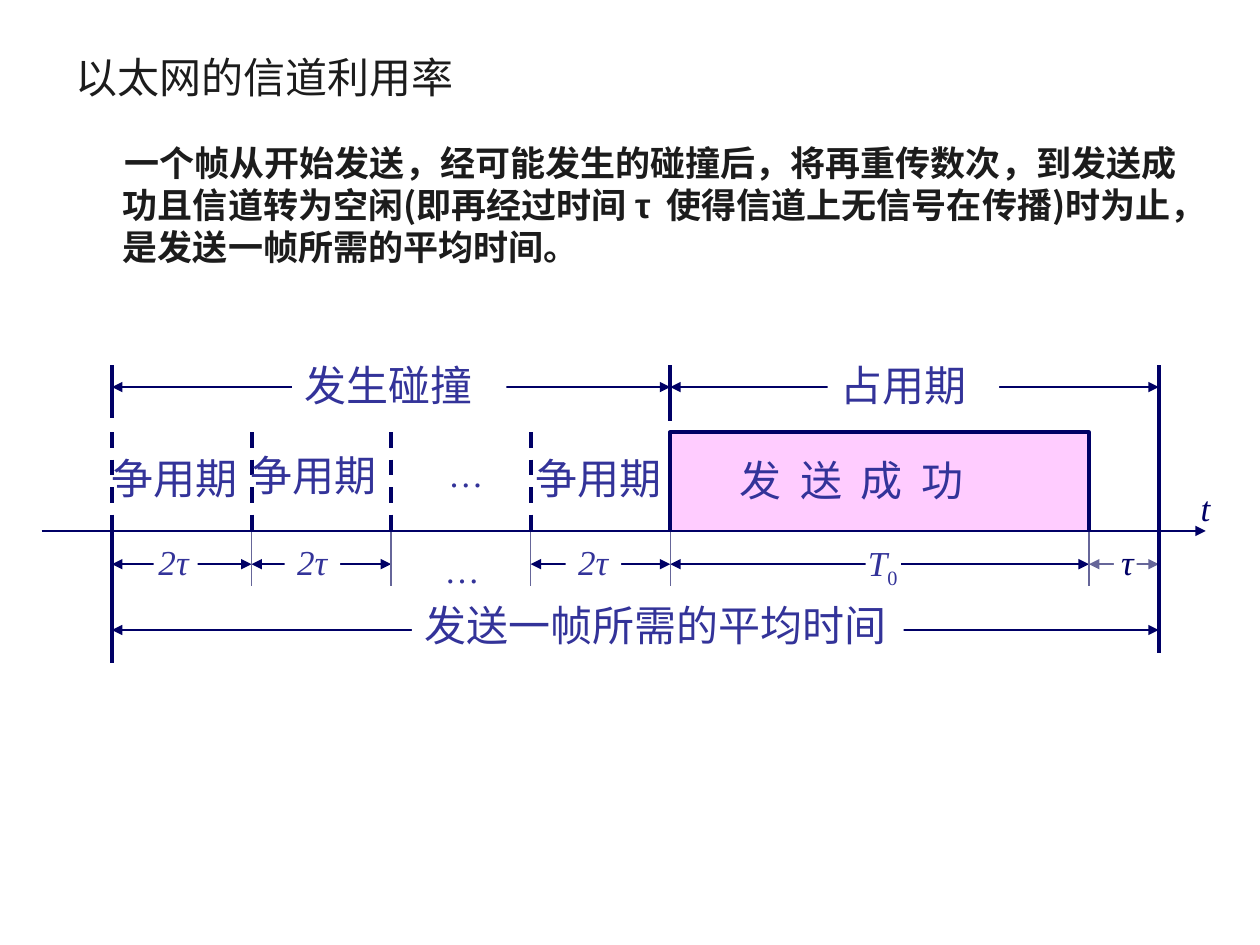
from typing import NamedTuple

from lxml import etree
from pptx import Presentation
from pptx.dml.color import RGBColor
from pptx.enum import dml, shapes, text
from pptx.oxml import ns
from pptx.util import Pt

NAVY, INDIGO, SLATE = "000066", "333399", "666699"
INK, PINK, WHITE = "1C1C1C", "FFCCFF", "FFFFFF"
SERIF, SANS = "Times New Roman", "Noto Sans CJK SC"

# Time scale: one contention slot (2τ) is SLOT points wide
START, SLOT = 64, 79.75
BUSY, SENT, END = 4, 7, 7.5
# Heights of the rows
TOP, UPPER, FRAME_TOP, AXIS, LOWER, TOTAL = 208.8, 221.2, 247, 303.4, 322.4, 360


class Span(NamedTuple):
    """A double-headed arrow between two moments."""
    first: float
    last: float
    y: float
    color: str = NAVY


class Tick(NamedTuple):
    """An upright line at one moment."""
    moment: float
    top: float
    bottom: float
    color: str = NAVY
    width: float = 2.25
    dashed: bool = False


class Label(NamedTuple):
    words: str
    x: float
    y: float
    width: float
    size: float = 24
    color: str = INDIGO
    italic: bool = False
    masked: bool = False
    spacing: int = 0
    subscript: str = ""


def rgb(color: str) -> RGBColor:
    return RGBColor.from_string(color)


def at(moment: float) -> float:
    return START + SLOT * moment


def sub(parent, tag: str, **attributes: str):
    return etree.SubElement(parent, ns.qn(tag), attributes)


def draw_line(x1: float, y1: float, x2: float, y2: float, color: str,
              width: float, head: bool = False, tail: bool = False,
              dashed: bool = False) -> None:
    line = slide.shapes.add_connector(
        shapes.MSO_CONNECTOR.STRAIGHT, Pt(x1), Pt(y1), Pt(x2), Pt(y2))
    line.line.color.rgb = rgb(color)
    line.line.width = Pt(width)
    if dashed:
        line.line.dash_style = dml.MSO_LINE.DASH
    outline = line.line._get_or_add_ln()
    for tag, shown in (("a:headEnd", head), ("a:tailEnd", tail)):
        if shown:
            sub(outline, tag, type="triangle")
    sub(line._element.spPr, "a:effectLst")


def draw_mask(x: float, y: float, width: float, height: float) -> None:
    mask = slide.shapes.add_shape(
        shapes.MSO_SHAPE.RECTANGLE, Pt(x), Pt(y), Pt(width), Pt(height))
    mask.shadow.inherit = False
    mask.fill.solid()
    mask.fill.fore_color.rgb = rgb(WHITE)
    mask.line.fill.background()


def draw_label(label: Label) -> None:
    height = 36 if label.size == 24 else 31.6
    box = slide.shapes.add_textbox(
        Pt(label.x), Pt(label.y), Pt(label.width), Pt(height))
    if label.masked:
        box.fill.solid()
        box.fill.fore_color.rgb = rgb(WHITE)
    frame = box.text_frame
    frame.word_wrap = False
    frame.auto_size = text.MSO_AUTO_SIZE.SHAPE_TO_FIT_TEXT
    line = frame.paragraphs[0]
    words = line.add_run()
    words.text = label.words
    font = line.font
    font.name, font.size = SERIF, Pt(label.size)
    font.color.rgb = rgb(label.color)
    words.font.italic = label.italic
    if label.spacing:
        words.font._element.set("spc", str(label.spacing))
    if label.subscript:
        index = line.add_run()
        index.text = label.subscript
        index.font._element.set("baseline", "-25000")


def set_heading_font(font, size: float, bold: bool) -> None:
    font.name, font.size, font.bold = SANS, Pt(size), bold
    font.color.rgb = rgb(INK)
    sub(font._element, "a:ea", typeface=SANS)


def place(holder, x: float, y: float, width: float, height: float) -> None:
    holder.left, holder.top = Pt(x), Pt(y)
    holder.width, holder.height = Pt(width), Pt(height)
    holder.text_frame.auto_size = text.MSO_AUTO_SIZE.NONE


deck = Presentation()
deck.slide_width, deck.slide_height = Pt(720), Pt(540)
slide = deck.slides.add_slide(deck.slide_layouts[1])

# Title
title = slide.shapes.title
place(title, 36, 21.6, 648, 44)
title.text_frame.vertical_anchor = text.MSO_ANCHOR.MIDDLE
heading = title.text_frame.paragraphs[0]
heading.text = "以太网的信道利用率"
heading.alignment = text.PP_ALIGN.LEFT
set_heading_font(heading.font, 24, False)

# Explanation
body = slide.placeholders[1]
place(body, 36, 77, 648, 376.6)
explanation = body.text_frame.paragraphs[0]
indents = explanation._p.get_or_add_pPr()
indents.set("marL", str(Pt(27)))
indents.set("indent", str(Pt(1)))
sub(indents, "a:buNone")
explanation.space_before = Pt(0)
set_heading_font(explanation.font, 20, True)
for words in ("一个帧从开始发送，经可能发生的碰撞后，将再重传数次，到发送成功且信道转为空闲(即再经过时间 ",
              "τ", " 使得信道上无信号在传播)时为止，是发送一帧所需的平均时间。"):
    run = explanation.add_run()
    run.text = words
    if words == "τ":
        run.font.name = "Arial"
        run.font._element.set("spc", "450")

# Spans of time
for span in (Span(0, END, TOTAL), Span(0, BUSY, UPPER), Span(BUSY, END, UPPER),
             Span(0, 1, LOWER), Span(1, 2, LOWER), Span(3, BUSY, LOWER),
             Span(BUSY, SENT, LOWER), Span(SENT, END, LOWER, SLATE)):
    draw_line(at(span.first), span.y, at(span.last), span.y, span.color, 1.5,
              head=True, tail=True)

# Frame that is sent, open towards the axis
outline = slide.shapes.build_freeform(Pt(at(BUSY)), Pt(AXIS))
outline.add_line_segments(
    [(Pt(at(BUSY)), Pt(FRAME_TOP)), (Pt(at(SENT)), Pt(FRAME_TOP)),
     (Pt(at(SENT)), Pt(AXIS))], close=False)
sent_frame = outline.convert_to_shape()
sent_frame.shadow.inherit = False
sent_frame.fill.solid()
sent_frame.fill.fore_color.rgb = rgb(PINK)
sent_frame.line.color.rgb = rgb(NAVY)
sent_frame.line.width = Pt(2.25)

# Upright lines
ticks = [Tick(m, FRAME_TOP, AXIS, dashed=True) for m in range(BUSY)]
ticks += [Tick(m, AXIS, 334.8, SLATE, 0.75) for m in (1, 2, 3, BUSY, SENT)]
ticks += [Tick(0, TOP, 239), Tick(0, AXIS, 378.7),
          Tick(BUSY, TOP, 240.5), Tick(END, TOP, 373)]
for tick in ticks:
    draw_line(at(tick.moment), tick.top, at(tick.moment), tick.bottom,
              tick.color, tick.width, dashed=tick.dashed)

# Gaps in the arrows behind 2τ, T0 and τ
for gap in ((87.8, 304, 25.2, 26), (494.6, 309.6, 20.2, 25.2),
            (636.5, 314.6, 13, 16.6)):
    draw_mask(*gap)

# Labels
for label in (
        Label("发生碰撞", 167, 202, 122.4, masked=True),
        Label("占用期", 473, 202, 98, masked=True),
        Label("发 送 成 功", 415.4, 256.3, 194.4, spacing=270),
        Label("争用期", 56.9, 254.9, 98),
        Label("争用期", 136.1, 253.4, 98),
        Label("争用期", 298.8, 254.9, 98),
        Label("…", 249.1, 254.9, 34.6, 20),
        Label("…", 247, 309.6, 34.6, 20),
        Label("2τ", 83.5, 305.3, 31.7, 20, italic=True),
        Label("2τ", 162.7, 305.3, 31.7, 20, italic=True, masked=True),
        Label("2τ", 323.3, 305.3, 31.7, 20, italic=True, masked=True),
        Label("T", 488.9, 306, 40, 20, italic=True, subscript="0"),
        Label("τ", 633.5, 305.3, 24, 20, NAVY, italic=True),
        Label("t", 679, 274.3, 22, 20, NAVY, italic=True),
        Label("发送一帧所需的平均时间", 235.4, 339.1, 281, masked=True)):
    draw_label(label)

# Time axis
draw_line(23.8, AXIS, 689, AXIS, NAVY, 1.5, tail=True)

deck.save("out.pptx")
